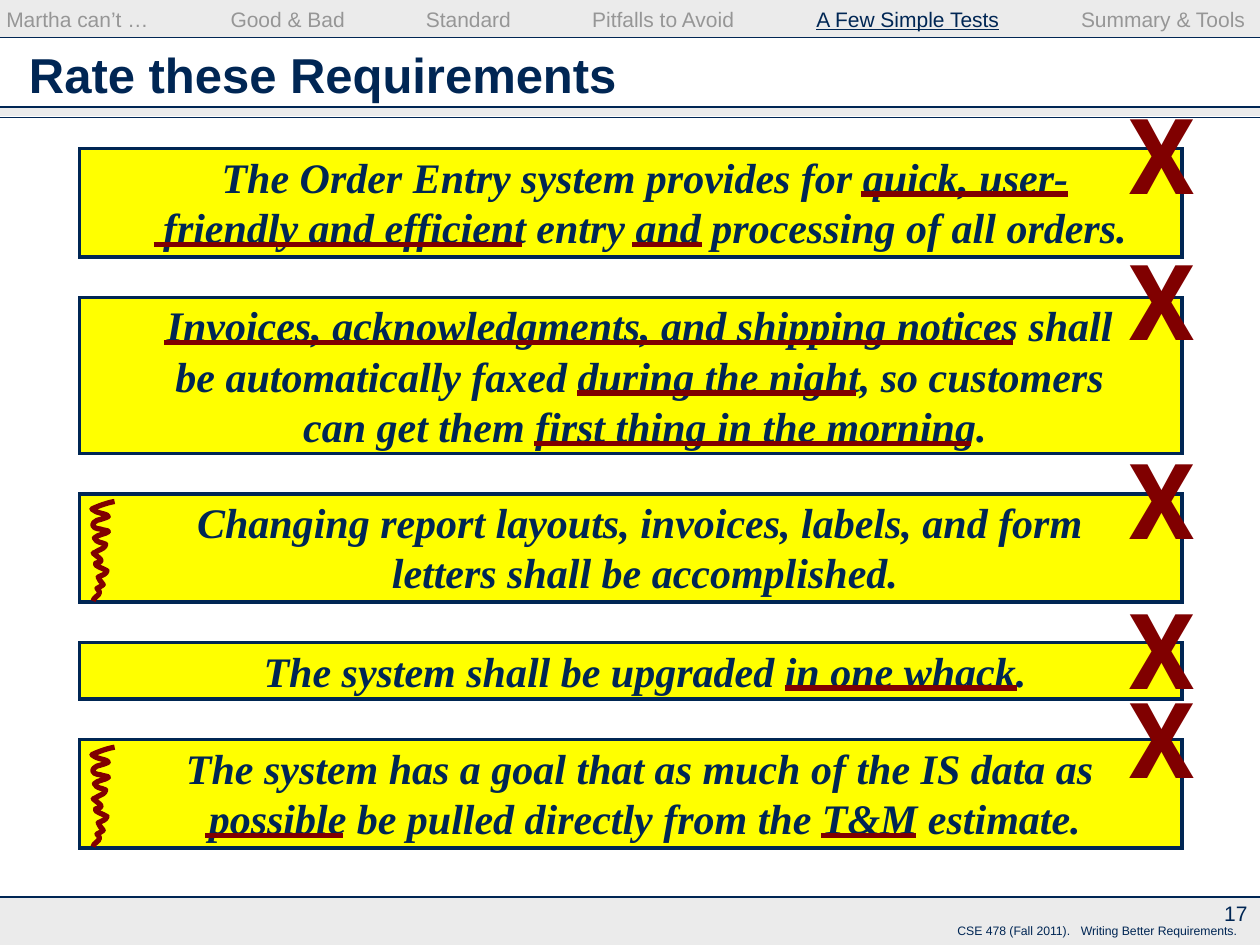
from lxml import etree
from pptx import Presentation
from pptx.dml.color import RGBColor
from pptx.enum.shapes import MSO_CONNECTOR, MSO_SHAPE
from pptx.enum.text import MSO_ANCHOR, PP_ALIGN
from pptx.oxml.ns import qn
from pptx.util import Inches, Pt

STRAIGHT, RECTANGLE = MSO_CONNECTOR.STRAIGHT, MSO_SHAPE.RECTANGLE
LEFT, CENTER, RIGHT = PP_ALIGN.LEFT, PP_ALIGN.CENTER, PP_ALIGN.RIGHT
TOP, MIDDLE = MSO_ANCHOR.TOP, MSO_ANCHOR.MIDDLE
NAVY, RED, YELLOW, GRAY, BAND = "002654", "800000", "FFFF00", "969696", "CDCDCD"
WIDTH, HEIGHT = 10, 7.5

# Content
TITLE = "Rate these Requirements"
SECTIONS = ["Martha can’t …", "Good & Bad", "Standard", "Pitfalls to Avoid",
            "A Few Simple Tests", "Summary & Tools"]
SECTION_TABS = [1.78, 3.33, 4.65, 6.43, 8.53]
CURRENT_SECTION = 4
FOOTER = ["CSE 478 (Fall 2011).", "Writing Better Requirements."]
PAGE_NUMBER = "17"

# Each card: lines, cross top, underlines (line, from, to), squiggle
CARDS = [
    (["The Order Entry system provides for quick, user-",
      "friendly and efficient entry and processing of all orders."],
     0.66, [(0, 6.83, 8.48), (1, 1.22, 4.14), (1, 5.02, 5.57)], False),
    (["Invoices, acknowledgments, and shipping notices shall ",
      "be automatically faxed during the night, so customers ",
      "can get them first thing in the morning."],
     1.82, [(0, 1.3, 8.04), (1, 4.58, 6.79), (2, 4.24, 7.71)], False),
    (["Changing report layouts, invoices, labels, and form ",
      "letters shall be accomplished."],
     3.4, [], True),
    (["The system shall be upgraded in one whack."],
     4.59, [(0, 6.23, 8.07)], False),
    (["The system has a goal that as much of the IS data as ",
      "possible be pulled directly from the T&M estimate."],
     5.3, [(1, 1.63, 2.72), (1, 6.52, 7.27)], True),
]
CARD_LEFT, CARD_TOP, CARD_WIDTH, CARD_GAP = 0.63, 1.18, 8.75, 0.32
CARD_HEIGHTS = {1: 0.45, 2: 0.86, 3: 1.24}  # by number of lines
LINE_HEIGHT, TEXT_CENTER, TEXT_WIDTH = 0.4, 5.12, 8.5

# Squiggle curves in hundredths of an inch: two control points, then the end
SQUIGGLE_LEFT, SQUIGGLE_DROP = 0.71, 0.06
SQUIGGLE_START = (20, 0)
SQUIGGLE = [
    (14, 1), (6, 4), (2, 6), (4, 7), (4, 8), (8, 9), (11, 10), (14, 10), (15, 12),
    (13, 13), (10, 14), (6, 15), (2, 17), (0, 21), (9, 22), (11, 23), (16, 23),
    (15, 24), (13, 26), (7, 26), (4, 29), (6, 33), (9, 32), (13, 34), (12, 37),
    (11, 37), (7, 39), (6, 40), (3, 41), (3, 41), (5, 43), (5, 43), (8, 45),
    (10, 47), (10, 48), (5, 49), (3, 51), (11, 53), (14, 55), (13, 58), (11, 58),
    (7, 60), (8, 63), (9, 63), (11, 66), (10, 67), (6, 69), (6, 69), (7, 70),
    (8, 71), (8, 72), (8, 75), (3, 76), (3, 79),
]


def color(value):
    return RGBColor.from_string(value)


def style_font(font, size, hue, name="Arial", bold=False, italic=False):
    font.size, font.name, font.bold, font.italic = Pt(size), name, bold, italic
    font.color.rgb = color(hue)


def add_text(shapes, box, inset=(0.1, 0.05), align=LEFT, anchor=TOP):
    """Add a text box and return its first paragraph."""
    frame = shapes.add_textbox(*map(Inches, box)).text_frame
    frame.word_wrap, frame.vertical_anchor = True, anchor
    frame.margin_left = frame.margin_right = Inches(inset[0])
    frame.margin_top = frame.margin_bottom = Inches(inset[1])
    paragraph = frame.paragraphs[0]
    paragraph.alignment = align
    return paragraph


def set_tabs(paragraph, stops):
    tabs = etree.SubElement(paragraph._p.get_or_add_pPr(), qn("a:tabLst"))
    for stop in stops:
        etree.SubElement(tabs, qn("a:tab"), pos=str(Inches(stop)), algn="l")


def add_rectangle(shapes, box, fill):
    shape = shapes.add_shape(RECTANGLE, *map(Inches, box))
    shape.shadow.inherit = False
    shape.fill.solid()
    shape.fill.fore_color.rgb = color(fill)
    shape.line.fill.background()
    return shape


def add_rule(shapes, start, end, y, hue, weight):
    line = shapes.add_connector(STRAIGHT, *map(Inches, (start, y, end, y)))
    line.line.color.rgb = color(hue)
    line.line.width = Pt(weight)
    etree.SubElement(line._element.spPr, qn("a:effectLst"))


def add_squiggle(shapes, left, top):
    start, *points = [(Inches(left + x / 100), Inches(top + y / 100))
                      for x, y in [SQUIGGLE_START, *SQUIGGLE]]
    builder = shapes.build_freeform(*start)
    builder.add_line_segments(points, close=False)
    shape = builder.convert_to_shape()
    shape.shadow.inherit = False
    shape.fill.background()
    shape.line.color.rgb = color(RED)
    shape.line.width = Pt(3)
    # Turn every three segments into one curve
    segments = list(shape._element.iter(qn("a:lnTo")))
    for index in range(0, len(segments), 3):
        first, *others = segments[index:index + 3]
        first.tag = qn("a:cubicBezTo")
        for segment in others:
            first.append(segment[0])
            segment.getparent().remove(segment)


def add_frame(slide):
    """Bands, rules, title, section bar and footer."""
    shapes = slide.shapes
    for top, height in ((7.12, 0.38), (0, 0.3), (0.85, 0.07)):
        band = add_rectangle(shapes, (0, top, WIDTH, height), BAND)
        hue = band._element.spPr.find(qn("a:solidFill"))[0]
        etree.SubElement(hue, qn("a:alpha"), val="40000")
    for y in (0.85, 0.3, 0.93, 7.12):
        add_rule(shapes, 0, WIDTH, y, NAVY, 0.75)

    title = shapes.title
    title.left, title.top, title.width, title.height = map(
        Inches, (0.13, 0.26, 9.74, 0.66))
    title.text_frame.text = TITLE
    title.text_frame.vertical_anchor = MIDDLE
    paragraph = title.text_frame.paragraphs[0]
    paragraph.alignment = LEFT
    style_font(paragraph.font, 28, NAVY, bold=True)

    sections = add_text(shapes, (0, 0.05, WIDTH, 0.25), inset=(0.05, 0))
    set_tabs(sections, SECTION_TABS)
    before = "\t".join(SECTIONS[:CURRENT_SECTION]) + "\t"
    after = "\t" + "\t".join(SECTIONS[CURRENT_SECTION + 1:])
    for text, current in ((before, False), (SECTIONS[CURRENT_SECTION], True),
                          (after, False)):
        run = sections.add_run()
        run.text = text
        style_font(run.font, 12, NAVY if current else GRAY)
        run.font.underline = current

    footer = add_text(shapes, (7.5, 7.28, 2.5, 0.22))
    set_tabs(footer, [0.98])
    footer.add_run().text = "\t".join(FOOTER)
    style_font(footer.font, 7, NAVY)

    number = add_text(shapes, (9.3, 7.08, 0.7, 0.34), align=RIGHT, anchor=MIDDLE)
    number.text = PAGE_NUMBER
    style_font(number.font, 12, NAVY)


def add_cards(shapes):
    top = CARD_TOP
    for lines, cross_top, underlines, has_squiggle in CARDS:
        height = CARD_HEIGHTS[len(lines)]
        # Requirement
        group = shapes.add_group_shape().shapes
        card = add_rectangle(group, (CARD_LEFT, top, CARD_WIDTH, height), YELLOW)
        card.line.color.rgb = color(NAVY)
        card.line.width = Pt(2)
        etree.SubElement(card._element.spPr.find(qn("a:ln")), qn("a:miter"), lim="800000")
        box = (TEXT_CENTER - TEXT_WIDTH / 2, top + 0.02,
               TEXT_WIDTH, LINE_HEIGHT * len(lines))
        paragraph = add_text(group, box, inset=(0, 0), align=CENTER)
        paragraph.text = "\v".join(lines)
        paragraph.line_spacing = Inches(LINE_HEIGHT)
        style_font(paragraph.font, 24, NAVY, "Times New Roman", True, True)
        # Marks
        cross = add_text(shapes, (8.86, cross_top, 0.75, 1.1))
        cross.text = "X"
        style_font(cross.font, 60, RED, "Roboto", bold=True)
        for line, start, end in underlines:
            add_rule(shapes, start, end, top + 0.36 + LINE_HEIGHT * line, RED, 3)
        if has_squiggle:
            add_squiggle(shapes, SQUIGGLE_LEFT, top + SQUIGGLE_DROP)
        top += height + CARD_GAP


def main():
    presentation = Presentation()
    presentation.slide_width, presentation.slide_height = Inches(WIDTH), Inches(HEIGHT)
    slide = presentation.slides.add_slide(presentation.slide_layouts[5])
    add_frame(slide)
    add_cards(slide.shapes)
    presentation.save("out.pptx")


if __name__ == "__main__":
    main()
